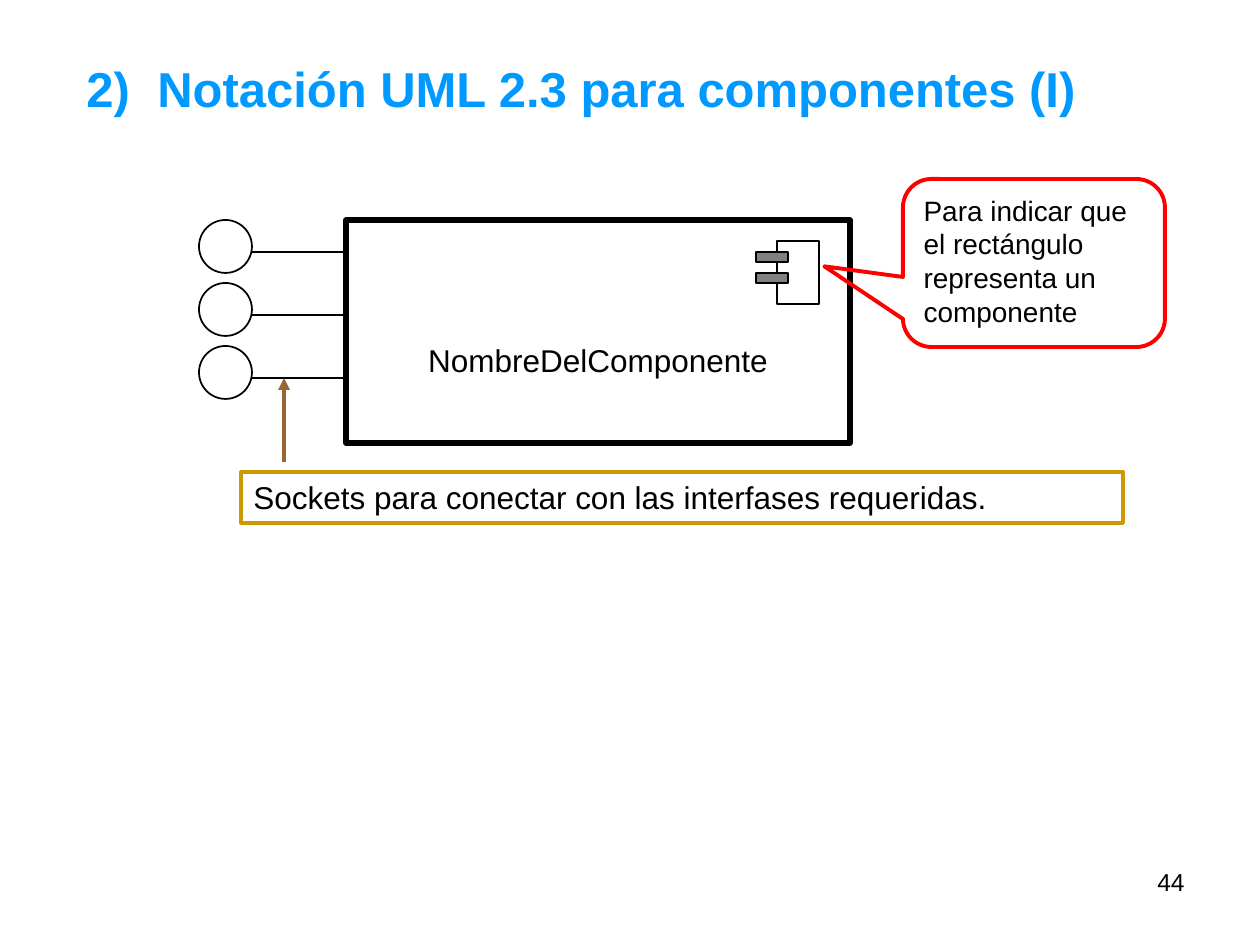
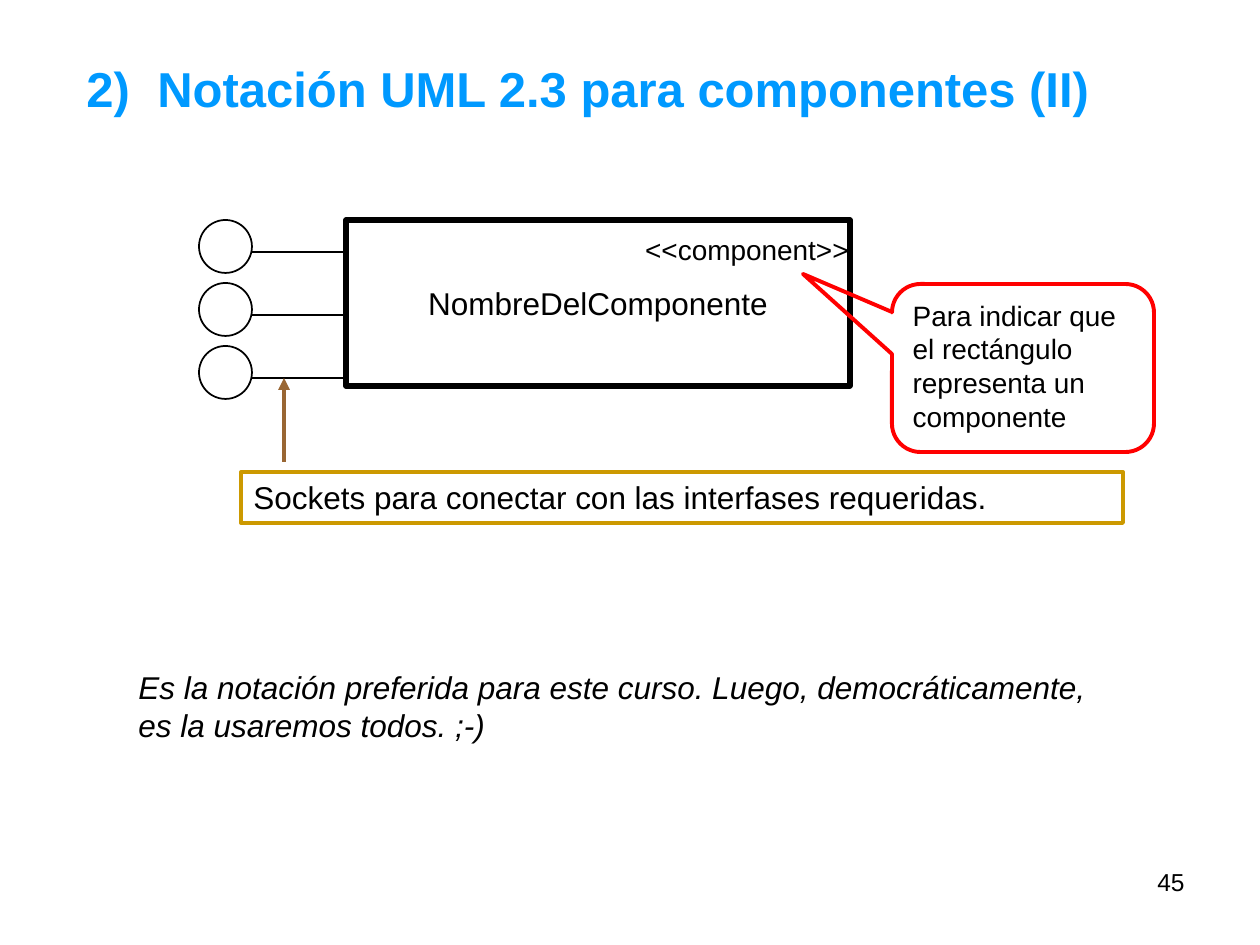
"""Two slides on the UML 2.3 notation for components."""
from dataclasses import dataclass

from lxml import etree
from pptx import Presentation, util as u
from pptx.dml.color import RGBColor
from pptx.enum import shapes, text
from pptx.oxml.ns import qn

SCALE = 914400 / 126
FONT = "Arial"
HUES = {"ink": "000000", "title": "0099FF", "box": "CC9900",
        "arrow": "996633", "call": "FF0000", "tab": "808080"}
KIND = shapes.MSO_SHAPE
ALIGN = text.PP_ALIGN


@dataclass(frozen=True)
class Box:
    """A frame in px."""
    x: int
    y: int
    w: int
    h: int


@dataclass(frozen=True)
class Call:
    """A callout frame and where its tip points."""
    box: Box
    tip: tuple[float, float]


@dataclass(frozen=True)
class Page:
    """What differs from slide to slide."""
    roman: str
    num: int
    tall: int
    drop: int
    call: Call


PAGES = [
    Page("I", 44, 223, 121, Call(Box(903, 179, 262, 168), (-0.8, 0.02))),
    Page("II", 45, 166, 64, Call(Box(892, 284, 262, 168), (-0.84, -0.56))),
]
BODY_X, BODY_Y, BODY_W = 346, 220, 504
RING, STEP, ROWS = 53, 63, 3
RING_X = 199


def px(n: float) -> u.Emu:
    """Turn px into EMU."""
    return u.Emu(round(n * SCALE))


def hue(name: str) -> RGBColor:
    """Look up a colour."""
    return RGBColor.from_string(HUES[name])


def write(shape, words: str, size: int = 18, color: str = "ink",
          bold: bool = False, slant: bool = False, align=ALIGN.LEFT,
          top: int = 6, stop: int = 0) -> None:
    """Put formatted text in a shape."""
    frame = shape.text_frame
    frame.word_wrap = True
    frame.vertical_anchor = text.MSO_ANCHOR.TOP
    frame.margin_left = frame.margin_right = u.Inches(0.1)
    frame.margin_top, frame.margin_bottom = px(top), px(6)
    para = frame.paragraphs[0]
    para.alignment = align
    if stop:
        tabs = etree.SubElement(para._p.get_or_add_pPr(), qn("a:tabLst"))
        etree.SubElement(tabs, qn("a:tab"), pos=str(px(stop)), algn="l")
    run = para.add_run()
    run.text = words
    font = run.font
    font.name, font.size = FONT, u.Pt(size)
    font.bold, font.italic = bold, slant
    font.color.rgb = hue(color)


def label(slide, box: Box, words: str, **form) -> None:
    """Add a text box."""
    write(slide.shapes.add_textbox(*map(px, (box.x, box.y, box.w, box.h))),
          words, **form)


def draw(slide, kind, box: Box, line: str = "ink", width: float = 1,
         fill: str = ""):
    """Add an outlined shape."""
    shape = slide.shapes.add_shape(kind, *map(px, (box.x, box.y, box.w, box.h)))
    shape.shadow.inherit = False
    if fill:
        shape.fill.solid()
        shape.fill.fore_color.rgb = hue(fill)
    else:
        shape.fill.background()
    shape.line.color.rgb = hue(line)
    shape.line.width = u.Pt(width)
    return shape


def link(slide, start: tuple[int, int], end: tuple[int, int],
         color: str = "ink", width: float = 0.75, head: bool = False) -> None:
    """Add a straight line, with an arrowhead if asked."""
    wire = slide.shapes.add_connector(
        shapes.MSO_CONNECTOR.STRAIGHT, *map(px, start + end))
    wire.line.color.rgb = hue(color)
    wire.line.width = u.Pt(width)
    if head:
        etree.SubElement(wire.line._get_or_add_ln(), qn("a:tailEnd"),
                         type="triangle")
    etree.SubElement(wire._element.spPr, qn("a:effectLst"))


def sockets(slide) -> None:
    """Draw the rings, their lines and the note below."""
    for row in range(ROWS):
        y = BODY_Y + row * STEP
        link(slide, (BODY_X, y + 32), (RING_X + RING, y + 32))
        draw(slide, KIND.OVAL, Box(RING_X, y, RING, RING))
    link(slide, (284, 462), (284, 378), "arrow", 2.25, True)
    note = draw(slide, KIND.RECTANGLE, Box(241, 472, 882, 51), "box", 2.25)
    write(note, "Sockets para conectar con las interfases requeridas.")


def icon(slide) -> None:
    """Draw the component icon."""
    draw(slide, KIND.RECTANGLE, Box(777, 241, 42, 63))
    for y in (252, 273):
        draw(slide, KIND.RECTANGLE, Box(756, y, 32, 10), width=0.75, fill="tab")


def callout(slide, call: Call) -> None:
    """Draw the red callout."""
    shape = draw(slide, KIND.ROUNDED_RECTANGULAR_CALLOUT, call.box, "call", 2.25)
    for i, value in enumerate((*call.tip, 0.17)):
        shape.adjustments[i] = value
    write(shape, "Para indicar que el rectángulo representa un componente",
          size=16)


def build(deck, page: Page):
    """Add a slide with all that the pages share."""
    slide = deck.slides.add_slide(deck.slide_layouts[6])
    label(slide, Box(74, 53, 1102, 72),
          f"2)\tNotación UML 2.3 para componentes ({page.roman})",
          size=28, color="title", bold=True, stop=71)
    body = draw(slide, KIND.RECTANGLE,
                Box(BODY_X, BODY_Y, BODY_W, page.tall), width=3)
    write(body, "NombreDelComponente", align=ALIGN.CENTER, top=page.drop)
    sockets(slide)
    callout(slide, page.call)
    label(slide, Box(903, 861, 294, 66), str(page.num), size=14,
          align=ALIGN.RIGHT)
    return slide


def main() -> None:
    """Build and save the deck."""
    deck = Presentation()
    deck.slide_width, deck.slide_height = px(1260), px(945)
    first, second = (build(deck, page) for page in PAGES)
    icon(first)
    label(second, Box(630, 227, 231, 47), "<<component>>", size=16,
          align=ALIGN.RIGHT)
    label(second, Box(126, 662, 1008, 88),
          "Es la notación preferida para este curso. Luego, "
          "democráticamente, es la usaremos todos. ;-)", slant=True)
    deck.save("out.pptx")


if __name__ == "__main__":
    main()
